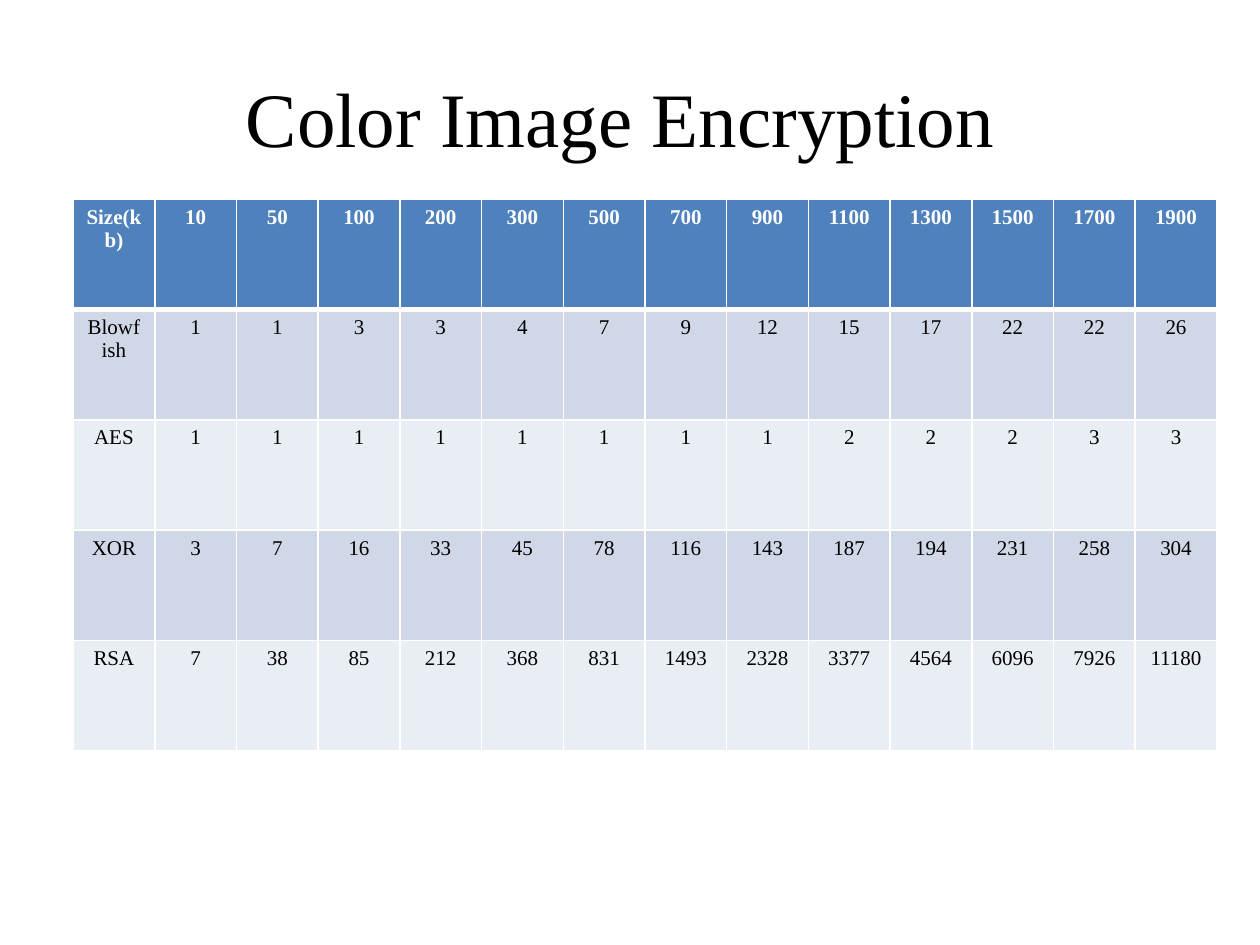
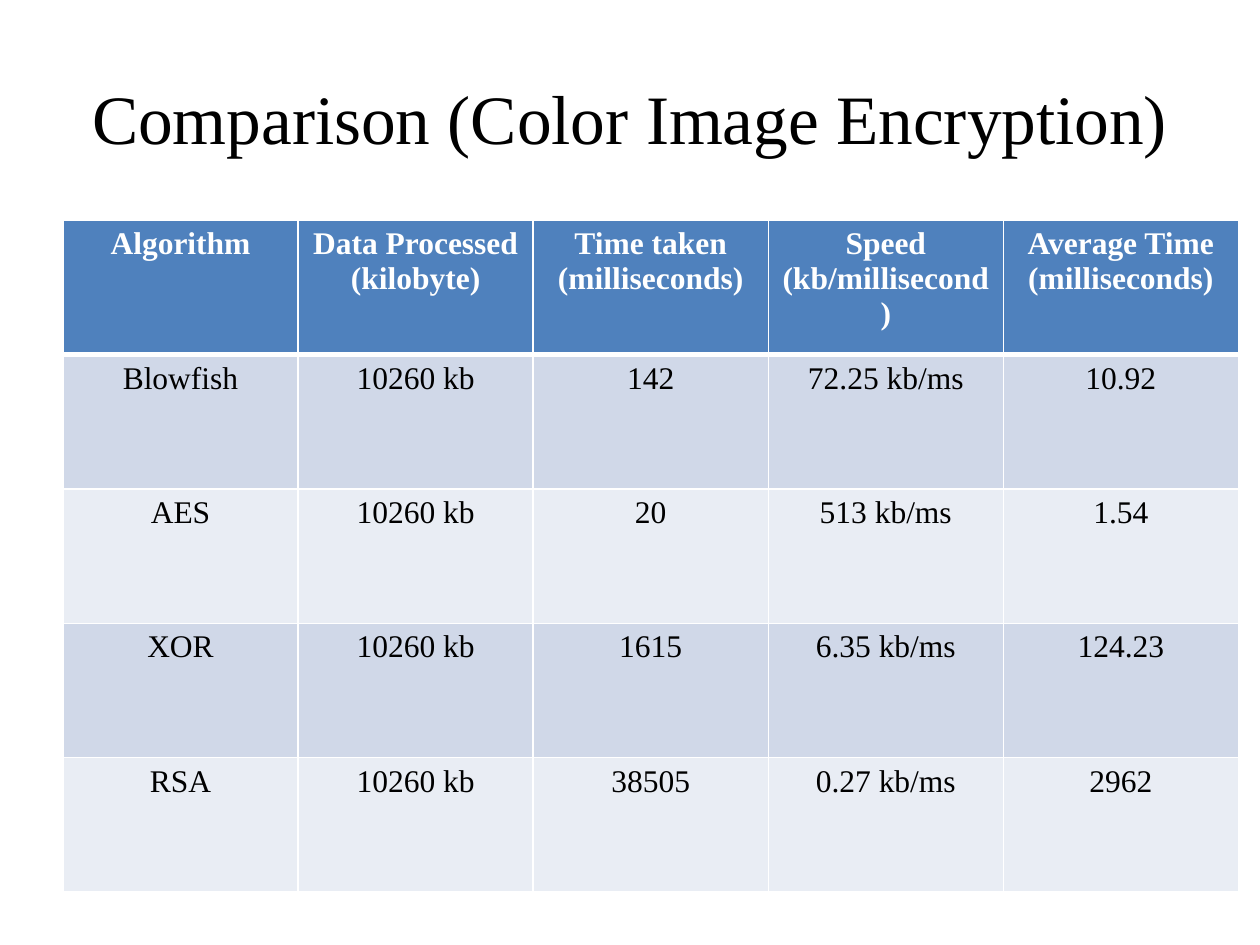
from dataclasses import dataclass

from lxml.etree import SubElement
from pptx import Presentation
from pptx.dml.color import RGBColor
from pptx.enum.text import MSO_ANCHOR as Anchor, PP_ALIGN as Align
from pptx.oxml.ns import qn
from pptx.slide import Slide
from pptx.table import _Cell as Cell
from pptx.text.text import TextFrame
from pptx.util import Inches, Pt

FONT = "Times New Roman"
BLACK, WHITE = "000000", "FFFFFF"
HEADER_FILL = "4F81BD"
BAND_FILLS = ("D0D8E8", "E9EDF4")
THIN, THICK = 1, 3


@dataclass
class TableSlide:
    title: str
    title_size: float
    left: float
    top: float
    width: float
    height: float
    text_size: float
    rows: list[list[str]]


TABLE_SLIDES = [
    TableSlide(
        "Color Image Encryption ", 44, 0.58, 1.58, 9.08, 4.38, 12,
        [
            "Size(kb) 10 50 100 200 300 500 700 900 1100 1300 1500 1700 1900".split(),
            "Blowfish 1 1 3 3 4 7 9 12 15 17 22 22 26".split(),
            "AES 1 1 1 1 1 1 1 1 2 2 2 3 3".split(),
            "XOR 3 7 16 33 45 78 116 143 187 194 231 258 304".split(),
            "RSA 7 38 85 212 368 831 1493 2328 3377 4564 6096 7926 11180".split(),
        ],
    ),
    TableSlide(
        "Comparison (Color Image Encryption)", 39.6, 0.5, 1.75, 9.33, 5.33, 18,
        [
            ["Algorithm", "Data Processed (kilobyte)", "Time taken (milliseconds)",
             "Speed (kb/millisecond)", "Average Time (milliseconds)"],
            ["Blowfish", "10260 kb", "142", "72.25 kb/ms", "10.92"],
            ["AES", "10260 kb", "20", "513 kb/ms", "1.54"],
            ["XOR", "10260 kb", "1615", "6.35 kb/ms", "124.23"],
            ["RSA", "10260 kb", "38505", "0.27 kb/ms", "2962"],
        ],
    ),
]


def rgb(color: str) -> RGBColor:
    return RGBColor.from_string(color)


def write_text(frame: TextFrame, text: str, size: float, color: str, bold: bool = False) -> None:
    paragraph = frame.paragraphs[0]
    paragraph.alignment = Align.CENTER
    run = paragraph.add_run()
    run.text = text
    for name, value in {"name": FONT, "size": Pt(size), "bold": bold}.items():
        setattr(run.font, name, value)
    run.font.color.rgb = rgb(color)


def add_title(slide: Slide, text: str, size: float) -> None:
    box = slide.shapes.add_textbox(Inches(0.5), Inches(0.3), Inches(9), Inches(1.25))
    frame = box.text_frame
    frame.word_wrap = True
    frame.vertical_anchor = Anchor.MIDDLE
    write_text(frame, text, size, BLACK)


def set_borders(cell: Cell, row_index: int) -> None:
    """Draw white borders, with a thick line between the header and the body."""
    widths = {
        "L": THIN,
        "R": THIN,
        "T": THICK if row_index == 1 else THIN,
        "B": THICK if row_index == 0 else THIN,
    }
    properties = cell._tc.get_or_add_tcPr()
    for side, width in widths.items():
        line = SubElement(properties, qn(f"a:ln{side}"), w=str(Pt(width)))
        fill = SubElement(line, qn("a:solidFill"))
        SubElement(fill, qn("a:srgbClr"), val=WHITE)


def add_data_table(slide: Slide, content: TableSlide) -> None:
    bounds = (content.left, content.top, content.width, content.height)
    table = slide.shapes.add_table(
        len(content.rows), len(content.rows[0]), *map(Inches, bounds)
    ).table
    table.horz_banding = False
    for row_index, texts in enumerate(content.rows):
        is_header = row_index == 0
        fill = HEADER_FILL if is_header else BAND_FILLS[(row_index - 1) % 2]
        for column_index, text in enumerate(texts):
            cell = table.cell(row_index, column_index)
            set_borders(cell, row_index)
            cell.fill.solid()
            cell.fill.fore_color.rgb = rgb(fill)
            write_text(cell.text_frame, text, content.text_size,
                       WHITE if is_header else BLACK, bold=is_header)


def main() -> None:
    presentation = Presentation()
    presentation.slide_width = Inches(10)
    presentation.slide_height = Inches(7.5)
    blank_layout = presentation.slide_layouts[6]
    for content in TABLE_SLIDES:
        slide = presentation.slides.add_slide(blank_layout)
        add_title(slide, content.title, content.title_size)
        add_data_table(slide, content)
    presentation.save("out.pptx")


if __name__ == "__main__":
    main()
